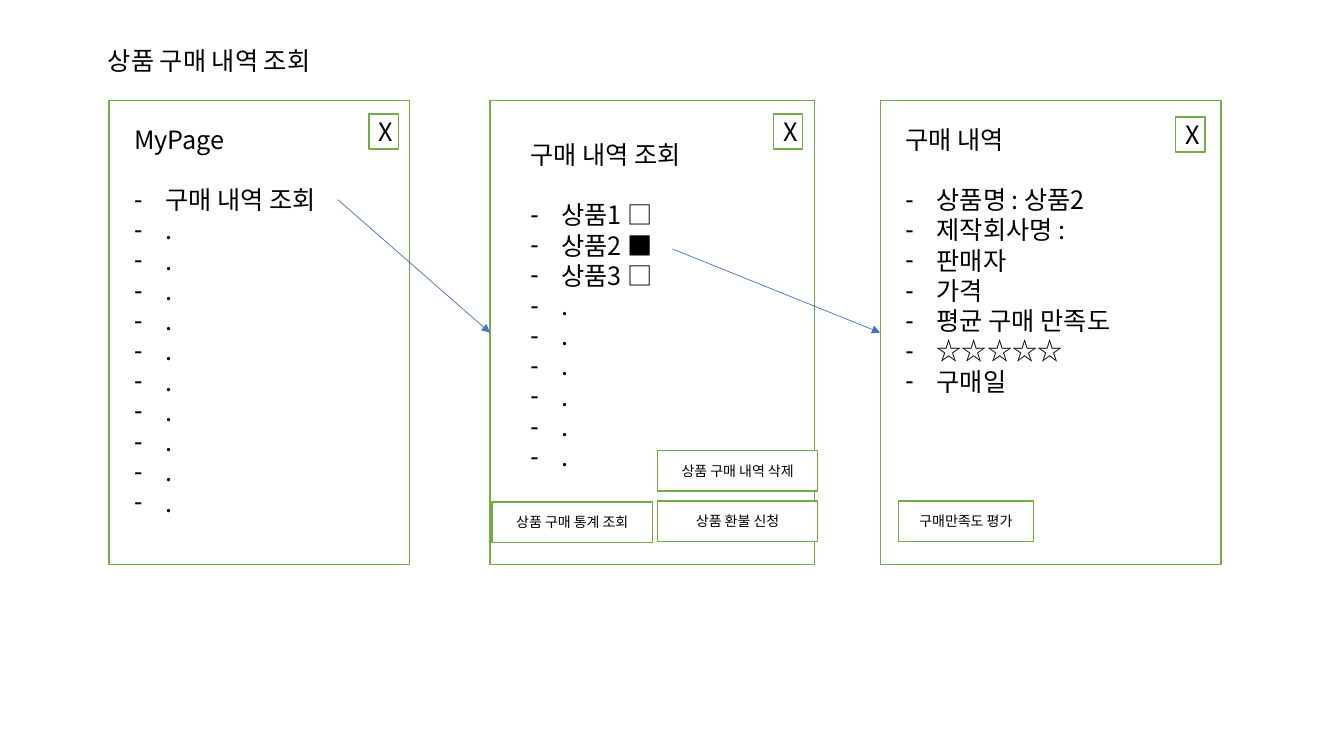
from lxml import etree
from pptx import Presentation
from pptx import util as u
from pptx.dml.color import RGBColor
from pptx.enum import shapes, text
from pptx.oxml.ns import qn

COLORS = {"paper": "FFFFFF", "frame": "70AD47", "ink": "000000", "arrow": "4472C4"}
FONT = "Noto Sans CJK KR"
LINE = u.Pt(21.6)
DOTS = ["."]


def rgb(name):
    """Return the named colour."""
    return RGBColor.from_string(COLORS[name])


def place(sp, box):
    """Move a shape to box (left, top, width, height) in inches."""
    sp.left, sp.top, sp.width, sp.height = map(u.Inches, box)


def style(p, size=18, align=text.PP_ALIGN.LEFT):
    """Format a paragraph and return its default run properties."""
    p.alignment = align
    p.space_before = p.space_after = u.Pt(0)
    f = p.font
    f.size, f.bold, f.name = u.Pt(size), False, FONT
    f.color.rgb = rgb("ink")
    props = p._p.pPr.find(qn("a:defRPr"))
    etree.SubElement(props, qn("a:ea"), typeface=FONT)
    return props


def add_box(s, box, label="", size=10, inset=0):
    """Add a framed white rectangle, with a centred label if given."""
    sp = s.shapes.add_shape(shapes.MSO_SHAPE.RECTANGLE, *map(u.Inches, box))
    sp.shadow.inherit = False
    sp.fill.solid()
    sp.fill.fore_color.rgb = rgb("paper")
    sp.line.color.rgb = rgb("frame")
    sp.line.width = u.Pt(1)
    if label:
        tf = sp.text_frame
        tf.word_wrap = False
        tf.vertical_anchor = text.MSO_ANCHOR.MIDDLE
        tf.margin_left = u.Inches(inset)
        tf.margin_right = tf.margin_top = tf.margin_bottom = 0
        tf.text = label
        style(tf.paragraphs[0], size, text.PP_ALIGN.CENTER)


def fill_placeholder(s, sp, box, lines):
    """Bring a placeholder to the front and write a heading and dashed items."""
    s.shapes.element.append(sp.element)
    place(sp, box)
    tf = sp.text_frame
    tf.text = "\n".join(lines)
    tf.auto_size = text.MSO_AUTO_SIZE.NONE
    tf.word_wrap = True
    tf.vertical_anchor = text.MSO_ANCHOR.TOP
    tf.margin_left = tf.margin_right = u.Inches(0.1)
    tf.margin_top = tf.margin_bottom = u.Inches(0.05)
    for i, p in enumerate(tf.paragraphs):
        props = style(p)
        p.line_spacing = LINE
        indent = u.Inches(0.31) if i else 0
        p._p.pPr.set("marL", str(indent))
        p._p.pPr.set("indent", str(-indent))
        if i == 1:
            p.space_before = LINE
        if i:
            bullet = etree.Element(qn("a:buChar"), char="-")
        else:
            bullet = etree.Element(qn("a:buNone"))
        props.addprevious(bullet)


def add_screen(s, sp, box, list_at, list_height, close_at, lines, buttons=()):
    """Draw one app screen; inner offsets are relative to its box."""
    x, y = box[:2]
    add_box(s, box)
    fill_placeholder(s, sp, (x + list_at[0], y + list_at[1], 2.63, list_height), lines)
    for dx, dy, width, label in buttons:
        add_box(s, (x + dx, y + dy, width, 0.4), label)
    add_box(s, (x + close_at[0], y + close_at[1], 0.29, 0.35), "X", 18, 0.05)


def add_arrow(s, start, end):
    """Draw a thin arrow from start to end."""
    c = s.shapes.add_connector(shapes.MSO_CONNECTOR.STRAIGHT,
                               *map(u.Inches, start + end))
    c.line.color.rgb = rgb("arrow")
    c.line.width = u.Pt(0.5)
    etree.SubElement(c.line._get_or_add_ln(), qn("a:tailEnd"), type="triangle")
    etree.SubElement(c.element.spPr, qn("a:effectLst"))


def build_slide(prs):
    """Build the purchase history flow of three screens."""
    s = prs.slides.add_slide(prs.slide_layouts.get_by_name("Comparison"))
    title, my_page, history, detail, *unused = list(s.placeholders)
    for sp in unused:
        sp.element.getparent().remove(sp.element)
    fill_placeholder(s, title, (0.97, 0.4, 3.28, 0.4), ["상품 구매 내역 조회"])
    add_screen(s, my_page, (1.08, 1, 2.98, 4.6), (0.15, 0.18), 4.04, (2.58, 0.13),
               ["MyPage", "구매 내역 조회"] + DOTS * 10)
    add_screen(s, history, (4.86, 1, 3.22, 4.6), (0.3, 0.33), 3.74, (2.81, 0.13),
               ["구매 내역 조회", "상품1 □", "상품2 ■", "상품3 □"] + DOTS * 6,
               [(0.02, 3.98, 1.59, "상품 구매 통계 조회"),
                (1.66, 3.97, 1.59, "상품 환불 신청"),
                (1.66, 3.47, 1.59, "상품 구매 내역 삭제")])
    add_screen(s, detail, (8.73, 1, 3.38, 4.6), (0.15, 0.18), 2.83, (2.93, 0.16),
               ["구매 내역", "상품명 : 상품2", "제작회사명 :", "판매자", "가격",
                "평균 구매 만족도", "☆☆☆☆☆", "구매일"],
               [(0.18, 3.97, 1.34, "구매만족도 평가")])
    add_arrow(s, (3.35, 1.98), (4.86, 3.3))
    add_arrow(s, (6.67, 2.47), (8.73, 3.3))


prs = Presentation()
prs.slide_width, prs.slide_height = u.Inches(13.33), u.Inches(7.5)
build_slide(prs)
prs.save("out.pptx")
